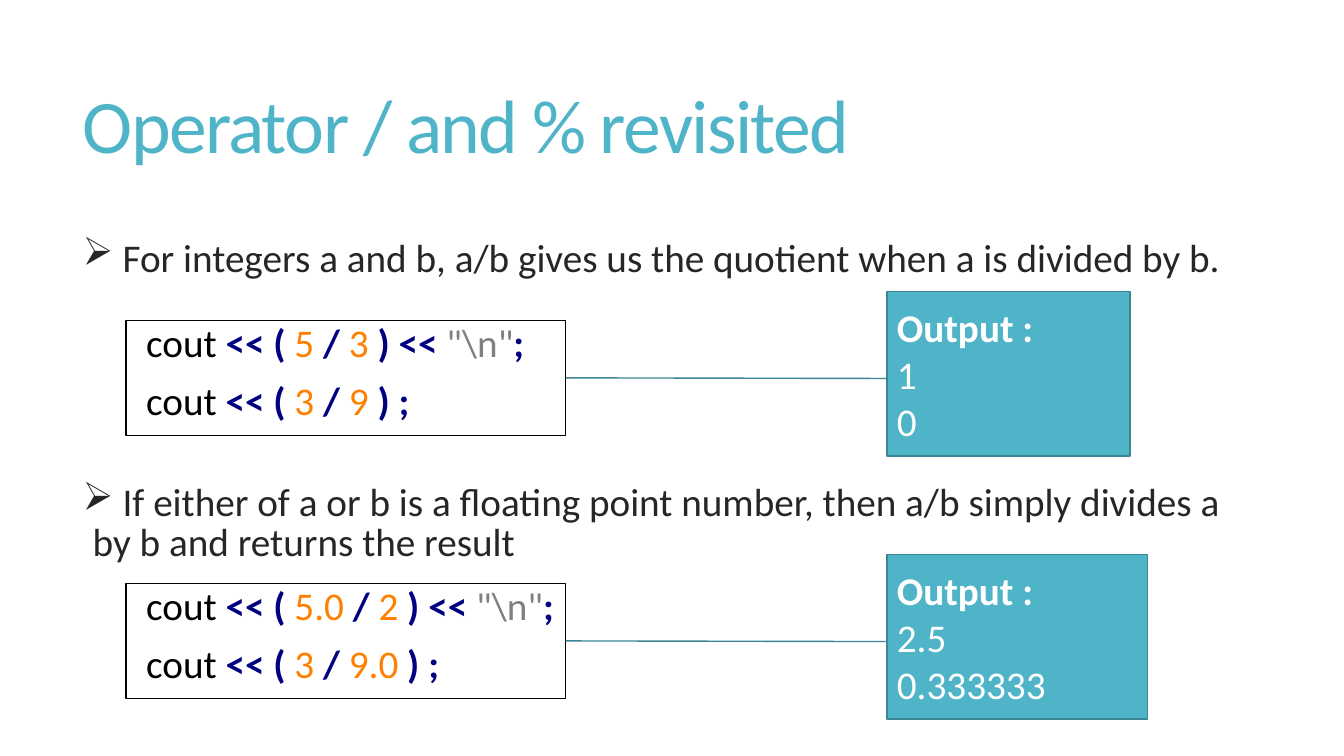
import pptx
import pptx.util
from pptx.dml.color import RGBColor
from pptx.enum.shapes import MSO_SHAPE
from pptx.enum.text import MSO_ANCHOR, PP_ALIGN
from pptx.oxml.ns import qn
from lxml import etree

Pt = pptx.util.Pt

FONT = "Calibri"
BODY_SIZE = 28
TEAL = RGBColor(0x50, 0xB4, 0xC8)
DARK_TEAL = RGBColor(0x3B, 0x85, 0x94)
DARK_GRAY = RGBColor(0x26, 0x26, 0x26)
WHITE = RGBColor(0xFF, 0xFF, 0xFF)
BLACK = RGBColor(0x00, 0x00, 0x00)
NAVY = RGBColor(0x00, 0x00, 0x80)
ORANGE = RGBColor(0xFF, 0x80, 0x00)
GRAY = RGBColor(0x80, 0x80, 0x80)

# Code token kinds: colour and bold
NAME, SIGN, NUMBER, STRING = (BLACK, False), (NAVY, True), (ORANGE, False), (GRAY, False)


def add_run(paragraph, text, color, bold=False, size=BODY_SIZE):
    run = paragraph.add_run()
    run.text = text
    run.font.name = FONT
    run.font.size = Pt(size)
    run.font.bold = bold
    run.font.color.rgb = color
    return run


def add_paragraphs(frame, count):
    """Return the frame's first paragraph and enough new ones after it."""
    return [frame.paragraphs[0]] + [frame.add_paragraph() for _ in range(count - 1)]


def prepare_frame(shape, anchor):
    frame = shape.text_frame
    frame.word_wrap = True
    frame.vertical_anchor = anchor
    return frame


def add_title(slide, text):
    box = slide.shapes.add_textbox(Pt(52), Pt(28), Pt(848), Pt(130))
    paragraph = prepare_frame(box, MSO_ANCHOR.MIDDLE).paragraphs[0]
    paragraph.line_spacing = 0.85
    run = add_run(paragraph, text, TEAL, size=54)
    run.font._element.set("spc", "-120")


def add_bullets(slide, texts, gap):
    box = slide.shapes.add_textbox(Pt(52), Pt(168), Pt(848), Pt(250))
    frame = prepare_frame(box, MSO_ANCHOR.TOP)
    for index, (paragraph, text) in enumerate(zip(add_paragraphs(frame, len(texts)), texts)):
        paragraph.line_spacing = 0.85
        paragraph.space_before = Pt(gap if index else 0)
        add_run(paragraph, text, DARK_GRAY)
        properties = paragraph._p.get_or_add_pPr()
        properties.set("marL", str(Pt(7.2)))
        properties.set("indent", str(-Pt(7.2)))
        etree.SubElement(properties, qn("a:buChar")).set("char", "\u27a2")


def add_code(slide, top, lines):
    box = slide.shapes.add_shape(MSO_SHAPE.RECTANGLE, Pt(90), Pt(top), Pt(314), Pt(82))
    box.shadow.inherit = False
    box.fill.background()
    box.line.color.rgb = BLACK
    box.line.width = Pt(0.75)
    frame = prepare_frame(box, MSO_ANCHOR.TOP)
    frame.margin_left = Pt(14.4)
    for index, (paragraph, tokens) in enumerate(zip(add_paragraphs(frame, len(lines)), lines)):
        paragraph.alignment = PP_ALIGN.LEFT
        paragraph.line_spacing = 0.85
        paragraph.space_before = Pt(13 if index else 0)
        for text, (color, bold) in tokens:
            add_run(paragraph, text, color, bold)


def add_output(slide, top, width, values):
    """Callout whose leader reaches back to the code box."""
    left, code_right = 633.6, 404
    callout = slide.shapes.add_shape(
        MSO_SHAPE.LINE_CALLOUT_1, Pt(left), Pt(top), Pt(width), Pt(117.5))
    for index, value in enumerate((0.53, -0.005, 0.526, (code_right - left) / width)):
        callout.adjustments[index] = value
    callout.shadow.inherit = False
    callout.fill.solid()
    callout.fill.fore_color.rgb = TEAL
    callout.line.color.rgb = DARK_TEAL
    callout.line.width = Pt(1)
    frame = prepare_frame(callout, MSO_ANCHOR.MIDDLE)
    texts = ["Output :"] + values
    for index, (paragraph, text) in enumerate(zip(add_paragraphs(frame, len(texts)), texts)):
        paragraph.alignment = PP_ALIGN.LEFT
        add_run(paragraph, text, WHITE, bold=index == 0)


def division(dividend, divisor):
    return [("cout ", NAME), ("<< ( ", SIGN), (dividend + " ", NUMBER),
            ("/ ", SIGN), (divisor + " ", NUMBER)]


def add_example(slide, top, divisions, values, output_width):
    """Code box with its output callout starting a little higher."""
    first, second = divisions
    add_code(slide, top, [
        division(*first) + [(") << ", SIGN), ('"\\n"', STRING), ("; ", SIGN)],
        division(*second) + [(") ; ", SIGN)],
    ])
    add_output(slide, top - 20.9, output_width, values)


def main():
    presentation = pptx.Presentation()
    presentation.slide_width = Pt(960)
    presentation.slide_height = Pt(540)
    slide = presentation.slides.add_slide(presentation.slide_layouts[6])

    # Title and statements
    add_title(slide, "Operator / and % revisited")
    add_bullets(slide, [
        " For integers a and b, a/b gives us the quotient when a is divided by b.",
        " If either of a or b is a floating point number, then a/b simply divides a"
        " by b and returns the result",
    ], gap=146)

    # Examples: integer division, then floating point division
    add_example(slide, 229, [("5", "3"), ("3", "9")], ["1", "0"], 173.5)
    add_example(slide, 416.9, [("5.0", "2"), ("3", "9.0")], ["2.5", "0.333333"], 186)

    presentation.save("out.pptx")


main()
